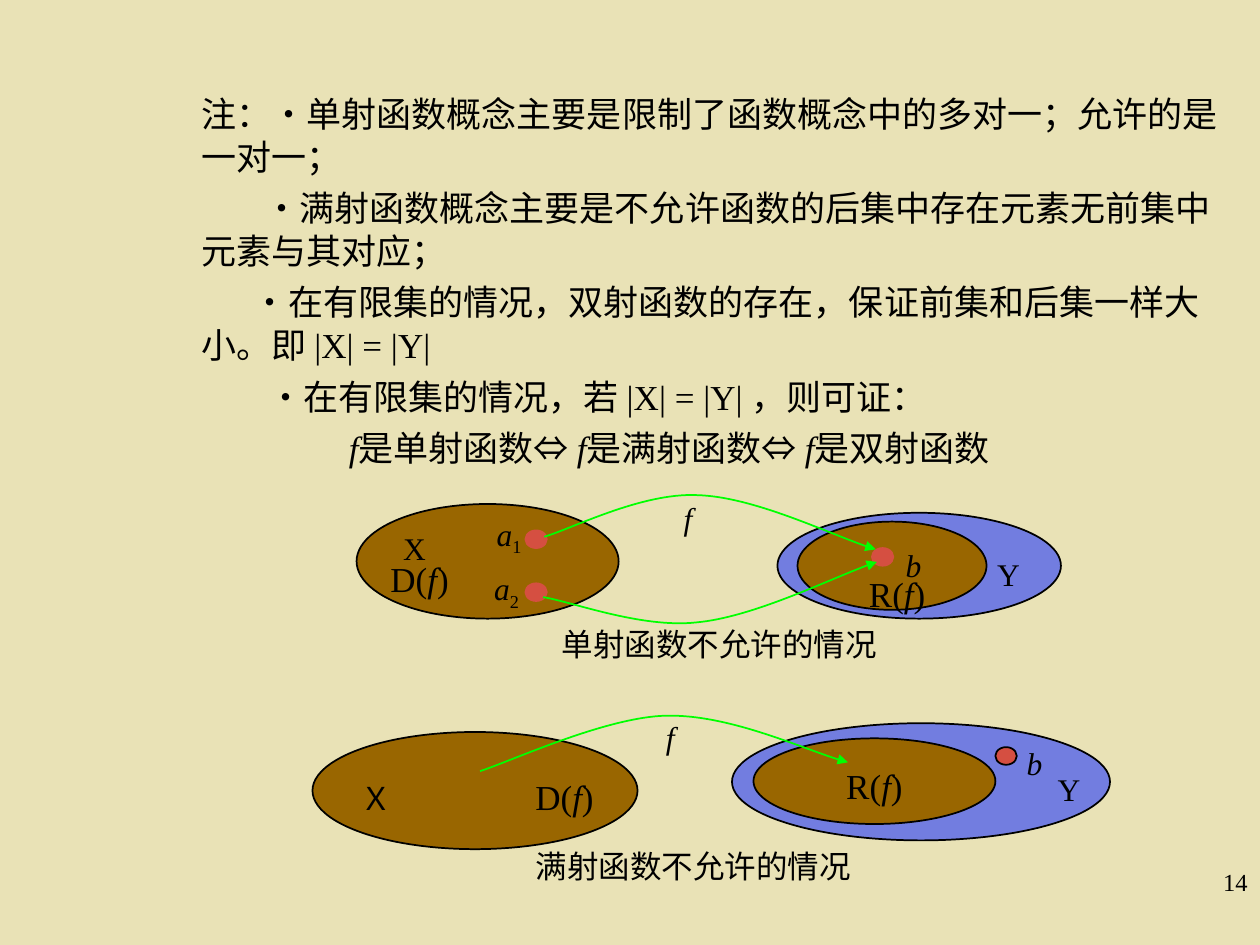
"""Build the slide on injective and surjective functions."""
from itertools import groupby

from lxml.etree import SubElement
from pptx import Presentation
from pptx.dml.color import RGBColor
from pptx.enum.shapes import MSO_SHAPE
from pptx.enum.text import PP_ALIGN
from pptx.oxml.ns import qn
from pptx.util import Inches, Pt

BACKGROUND = RGBColor(0xE9, 0xE2, 0xB6)
BLACK = RGBColor(0, 0, 0)
BROWN = RGBColor(0x99, 0x66, 0x00)
BLUE = RGBColor(0x72, 0x7D, 0xE0)
RED = RGBColor(0xD5, 0x4F, 0x41)
GREEN = RGBColor(0, 0xFF, 0)
CJK_FONT = "Noto Sans CJK SC"
DOT_SIZE = (0.17, 0.14)

NOTES = [
    (0, "注：•单射函数概念主要是限制了函数概念中的多对一；允许的是一对一；"),
    (0.5, "•满射函数概念主要是不允许函数的后集中存在元素无前集中元素与其对应；"),
    (0.41, "•在有限集的情况，双射函数的存在，保证前集和后集一样大小。即 |X| = |Y|"),
    (0.53, "•在有限集的情况，若 |X| = |Y| ，则可证："),
    (1.17, "*f*是单射函数⇔ *f*是满射函数⇔ *f*是双射函数"),
]
SETS = [
    ((2.83, 4, 2.08, 0.91), BROWN),
    ((6.17, 4.07, 2.25, 0.84), BLUE),
    ((6.33, 4.14, 1.5, 0.7), BROWN),
    ((5.81, 5.74, 3, 0.93), BLUE),
    ((5.98, 5.86, 1.92, 0.68), BROWN),
    ((2.48, 5.81, 2.58, 0.93), BROWN),
]
ELEMENTS = [
    ((4.17, 4.63), RED),
    ((4.17, 4.21), RED),
    ((6.92, 4.35), RED),
    ((7.9, 5.93), BLACK),
]
MAPPINGS = [
    [(4.32, 4.26), (4.53, 4.2), (5.09, 3.91), (5.53, 3.93),
     (5.97, 3.94), (6.65, 4.27), (6.95, 4.36)],
    [(4.31, 4.74), (4.52, 4.77), (5.09, 4.99), (5.53, 4.94),
     (5.97, 4.9), (6.66, 4.56), (6.96, 4.46)],
    [(3.81, 6.12), (4.06, 6.04), (4.81, 5.69), (5.29, 5.68),
     (5.78, 5.67), (6.43, 5.97), (6.73, 6.05)],
]
LABELS = [
    ("*a*", (3.75, 4.07, 0.58, 0.44), {"subscript": "1"}),
    ("*a*", (3.73, 4.5, 0.58, 0.44), {"subscript": "2"}),
    ("*b*", (7, 4.28, 0.5, 0.4), {}),
    ("X", (3, 4.14, 0.58, 0.4), {}),
    ("Y", (7.67, 4.35, 0.67, 0.4), {}),
    ("*f*", (5, 3.91, 0.92, 0.4), {}),
    ("单射函数不允许的情况", (4.25, 4.91, 2.92, 0.4), {}),
    ("D(*f*)", (3.08, 4.42, 0.5, 0.33), {"size": 20, "inset": False}),
    ("R(*f*)", (6.83, 4.54, 0.58, 0.33), {"size": 20, "inset": False}),
    ("满射函数不允许的情况", (4.04, 6.67, 2.92, 0.4), {}),
    ("*b*", (7.92, 5.85, 0.58, 0.4), {}),
    ("Y", (8.15, 6.06, 0.67, 0.4), {}),
    ("R(*f*)", (6.44, 6.01, 1, 0.44), {"size": 20}),
    ("Ｘ", (2.65, 6.13, 0.67, 0.4), {}),
    ("D(*f*)", (3.98, 6.1, 1, 0.44), {"size": 20}),
    ("*f*", (4.86, 5.64, 0.92, 0.4), {}),
    ("14", (7.92, 6.83, 2.08, 0.5), {"size": 14, "align": PP_ALIGN.RIGHT}),
]


def font_for(character):
    """Return the font that a character is set in."""
    if character in "•⇔":
        return "Arial"
    return CJK_FONT if ord(character) > 0x2E80 else "Times New Roman"


def add_run(paragraph, text, font_name, size, italic=False, baseline=0):
    """Add one run in a single font."""
    run = paragraph.add_run()
    run.text = text
    run.font.name = font_name
    run.font.size = Pt(size)
    run.font.italic = italic
    run.font.color.rgb = BLACK
    properties = run._r.get_or_add_rPr()
    if baseline:
        properties.set("baseline", str(baseline))
    SubElement(properties, qn("a:ea"), typeface=CJK_FONT)


def add_text(slide, paragraphs, place, size=18, align=PP_ALIGN.CENTER,
             inset=True, subscript=""):
    """Add (indent, text) paragraphs, with italics between asterisks."""
    frame = slide.shapes.add_textbox(*map(Inches, place)).text_frame
    frame.word_wrap = True
    frame.margin_left = frame.margin_right = Inches(0.1 if inset else 0)
    frame.margin_top = frame.margin_bottom = Inches(0.05 if inset else 0)
    for index, (indent, text) in enumerate(paragraphs):
        paragraph = frame.add_paragraph() if index else frame.paragraphs[0]
        paragraph.alignment = align
        paragraph.line_spacing = Pt(round(size * 1.22, 1))
        paragraph.space_before = Pt(5 if index else 0)
        paragraph._p.get_or_add_pPr().set("indent", str(Inches(indent)))
        for part, words in enumerate(text.split("*")):
            for font_name, characters in groupby(words, font_for):
                add_run(paragraph, "".join(characters), font_name, size, part % 2 == 1)
        if subscript:
            add_run(paragraph, subscript, font_for(subscript), size, baseline=-25000)


def add_ellipse(slide, place, fill, outline=BLACK):
    """Add a filled ellipse with a thin outline."""
    ellipse = slide.shapes.add_shape(MSO_SHAPE.OVAL, *map(Inches, place))
    ellipse.shadow.inherit = False
    ellipse.fill.solid()
    ellipse.fill.fore_color.rgb = fill
    ellipse.line.color.rgb = outline
    ellipse.line.width = Pt(1)


def add_mapping(slide, points):
    """Add an arrow along cubic curves through the given points."""
    start, *rest = [(Inches(x), Inches(y)) for x, y in points]
    builder = slide.shapes.build_freeform(*start)
    builder.add_line_segments(rest, close=False)
    arrow = builder.convert_to_shape()
    arrow.shadow.inherit = False
    arrow.fill.background()
    arrow.line.color.rgb = GREEN
    arrow.line.width = Pt(1)
    properties = arrow._element.spPr
    SubElement(properties.find(qn("a:ln")), qn("a:tailEnd"), type="triangle")
    outline = next(properties.iter(qn("a:path")))
    segments = outline.findall(qn("a:lnTo"))
    for first in range(0, len(segments), 3):
        curve = SubElement(outline, qn("a:cubicBezTo"))
        for segment in segments[first:first + 3]:
            curve.append(segment[0])
            outline.remove(segment)


def main():
    """Assemble and save the slide."""
    presentation = Presentation()
    presentation.slide_width, presentation.slide_height = Inches(10), Inches(7.5)
    slide = presentation.slides.add_slide(presentation.slide_layouts[6])
    slide.background.fill.solid()
    slide.background.fill.fore_color.rgb = BACKGROUND
    add_text(slide, NOTES, (1.5, 0.68, 8.33, 6.49), size=20, align=PP_ALIGN.LEFT)
    for place, fill in SETS:
        add_ellipse(slide, place, fill)
    for corner, outline in ELEMENTS:
        add_ellipse(slide, corner + DOT_SIZE, RED, outline)
    for points in MAPPINGS:
        add_mapping(slide, points)
    for text, place, style in LABELS:
        add_text(slide, [(0, text)], place, **style)
    presentation.save("out.pptx")


if __name__ == "__main__":
    main()
